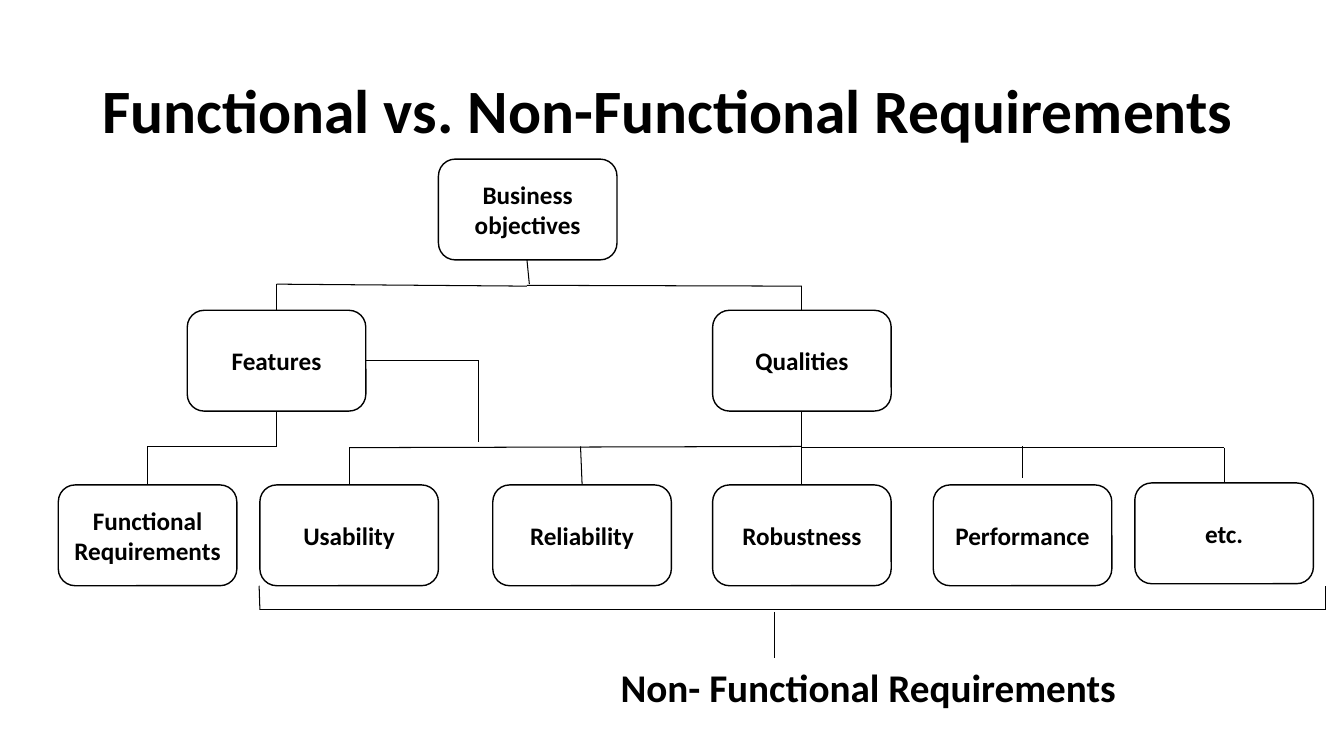
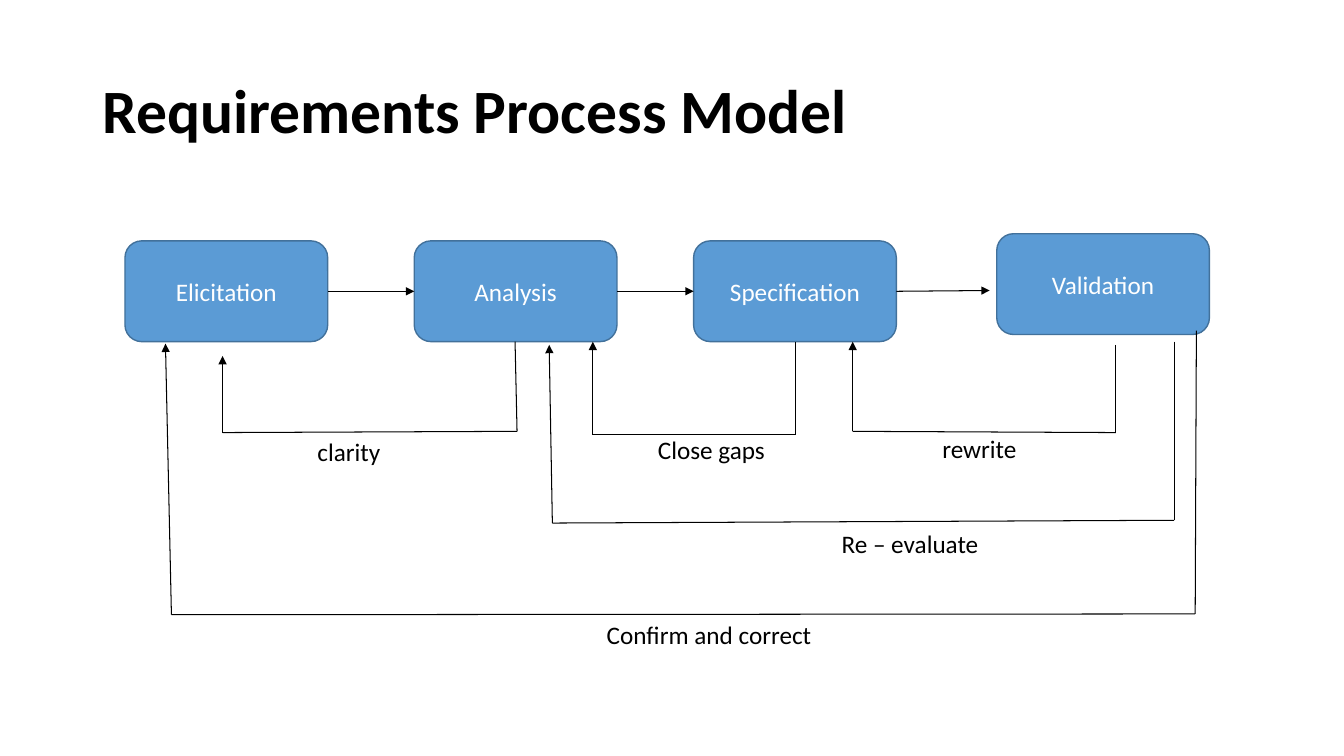
"""Build two slides on requirements: a goal tree and a process model."""
from itertools import pairwise

from lxml.etree import SubElement
from pptx import Presentation
from pptx.dml.color import RGBColor as Rgb
from pptx.enum.shapes import MSO_CONNECTOR as Conn, MSO_SHAPE as Form
from pptx.enum.text import MSO_ANCHOR as Anchor, MSO_AUTO_SIZE as Auto, PP_ALIGN as Align
from pptx.oxml.ns import qn
from pptx.util import Cm, Pt

COLORS = {"ink": "000000", "paper": "FFFFFF", "blue": "5B9BD5", "edge": "42719B"}
FONT = "Calibri"
HIGH = 2.54


def write(shape, text, size, color, bold, align=Align.LEFT, anchor=Anchor.TOP):
    frame = shape.text_frame
    frame.word_wrap = True
    frame.auto_size = Auto.NONE
    frame.vertical_anchor = anchor
    para = frame.paragraphs[0]
    para.alignment = align
    run = para.add_run()
    run.text = text
    run.font.name = FONT
    run.font.size = Pt(size)
    run.font.bold = bold
    run.font.color.rgb = Rgb.from_string(COLORS[color])
    return para


def trace(shapes, points, arrow):
    for start, end in pairwise(points):
        line = shapes.add_connector(Conn.STRAIGHT, *map(Cm, start + end))
        line.line.width = Pt(0.75)
        line.line.color.rgb = Rgb.from_string(COLORS["ink"])
        props = line._element.spPr
        if arrow and end == points[-1]:
            SubElement(props.find(qn("a:ln")), qn("a:tailEnd"), type="triangle")
        SubElement(props, qn("a:effectLst"))


row = 12.22
tree = {
    "title": "Functional vs. Non-Functional Requirements",
    "style": ("paper", "ink", "ink", True),
    "boxes": [
        ("Business objectives", 11.05, 4.01, 4.5),
        ("Features", 4.72, 7.82, 4.5),
        ("Qualities", 17.96, 7.82, 4.5),
        ("Functional Requirements", 1.47, row, 4.5),
        ("Usability", 6.55, row, 4.5),
        ("Reliability", 12.42, row, 4.5),
        ("Robustness", 17.96, row, 4.5),
        ("Performance", 23.52, row, 4.5),
        ("etc.", 28.6, 12.17, 4.5),
    ],
    "arrow": False,
    "paths": [
        [(13.28, 6.55), (13.34, 7.16)],
        [(13.28, 7.21), (6.97, 7.16), (6.97, 7.82)],
        [(13.28, 7.19), (20.21, 7.21), (20.21, 7.82)],
        [(20.21, 10.36), (20.21, row)],
        [(20.21, 11.25), (8.8, 11.28), (8.8, row)],
        [(20.21, 11.28), (30.85, 11.28), (30.85, 12.17)],
        [(14.63, 11.25), (14.67, row)],
        [(25.77, 11.25), (25.77, 12.04)],
        [(9.22, 9.09), (12.07, 9.09), (12.07, 11.15)],
        [(6.97, 10.36), (6.97, 11.25), (3.72, 11.25), (3.72, row)],
        [(6.53, 14.76), (6.55, 15.37), (33.4, 15.37), (33.4, 14.76)],
        [(19.51, 15.42), (19.51, 16.59)],
    ],
    "notes": [("Non- Functional Requirements", 15.39, 16.59, 13.36, 1.45)],
    "size": 28,
}

top = 6.07
base = top + HIGH
flow = {
    "title": "Requirements Process Model",
    "style": ("blue", "edge", "paper", False),
    "boxes": [
        ("Elicitation", 3.15, top, 5.11),
        ("Analysis", 10.44, top, 5.11),
        ("Specification", 17.48, top, 5.11),
        ("Validation", 25.12, 5.89, 5.36),
    ],
    "arrow": True,
    "paths": [
        [(8.26, 7.34), (10.44, 7.34)],
        [(15.55, 7.34), (17.48, 7.34)],
        [(22.59, 7.34), (24.94, 7.32)],
        [(12.98, base), (13.03, 10.87), (5.61, 10.9), (5.61, 8.97)],
        [(20.04, base), (20.04, 10.95), (14.94, 10.95), (14.94, base)],
        [(28.12, 8.69), (28.12, 10.9), (21.49, 10.87), (21.49, base)],
        [(29.59, base), (29.59, 13.11), (13.92, 13.18), (13.84, 8.69)],
        [(30.15, 8.33), (30.12, 15.47), (4.32, 15.49), (4.17, 8.66)],
    ],
    "notes": [
        ("clarity", 7.75, 10.87, 2.11, 1.02),
        ("Close gaps", 16.33, 10.82, 3.25, 1.02),
        ("rewrite", 23.5, 10.8, 2.39, 1.02),
        ("Re – evaluate", 20.96, 13.18, 4.14, 1.02),
        ("Confirm and correct", 15.04, 15.47, 7.54, 1.02),
    ],
    "size": 18,
}

deck = Presentation()
deck.slide_width, deck.slide_height = Cm(33.87), Cm(19.05)

for page in (tree, flow):
    shapes = deck.slides.add_slide(deck.slide_layouts[5]).shapes
    title = shapes.title
    title.left, title.top, title.width, title.height = map(Cm, (2.33, 1.01, 29.21, 3.68))
    write(title, page["title"], 44, "ink", True, anchor=Anchor.MIDDLE).line_spacing = 0.9

    fill, edge, ink, bold = page["style"]
    for text, left, y, wide in page["boxes"]:
        box = shapes.add_shape(Form.ROUNDED_RECTANGLE, *map(Cm, (left, y, wide, HIGH)))
        box.shadow.inherit = False
        box.fill.solid()
        box.fill.fore_color.rgb = Rgb.from_string(COLORS[fill])
        box.line.color.rgb = Rgb.from_string(COLORS[edge])
        box.line.width = Pt(1)
        write(box, text, 18, ink, bold, Align.CENTER, Anchor.MIDDLE)

    for points in page["paths"]:
        trace(shapes, points, page["arrow"])

    for text, *place in page["notes"]:
        note = shapes.add_textbox(*map(Cm, place))
        write(note, text, page["size"], "ink", bold)

deck.save("out.pptx")
